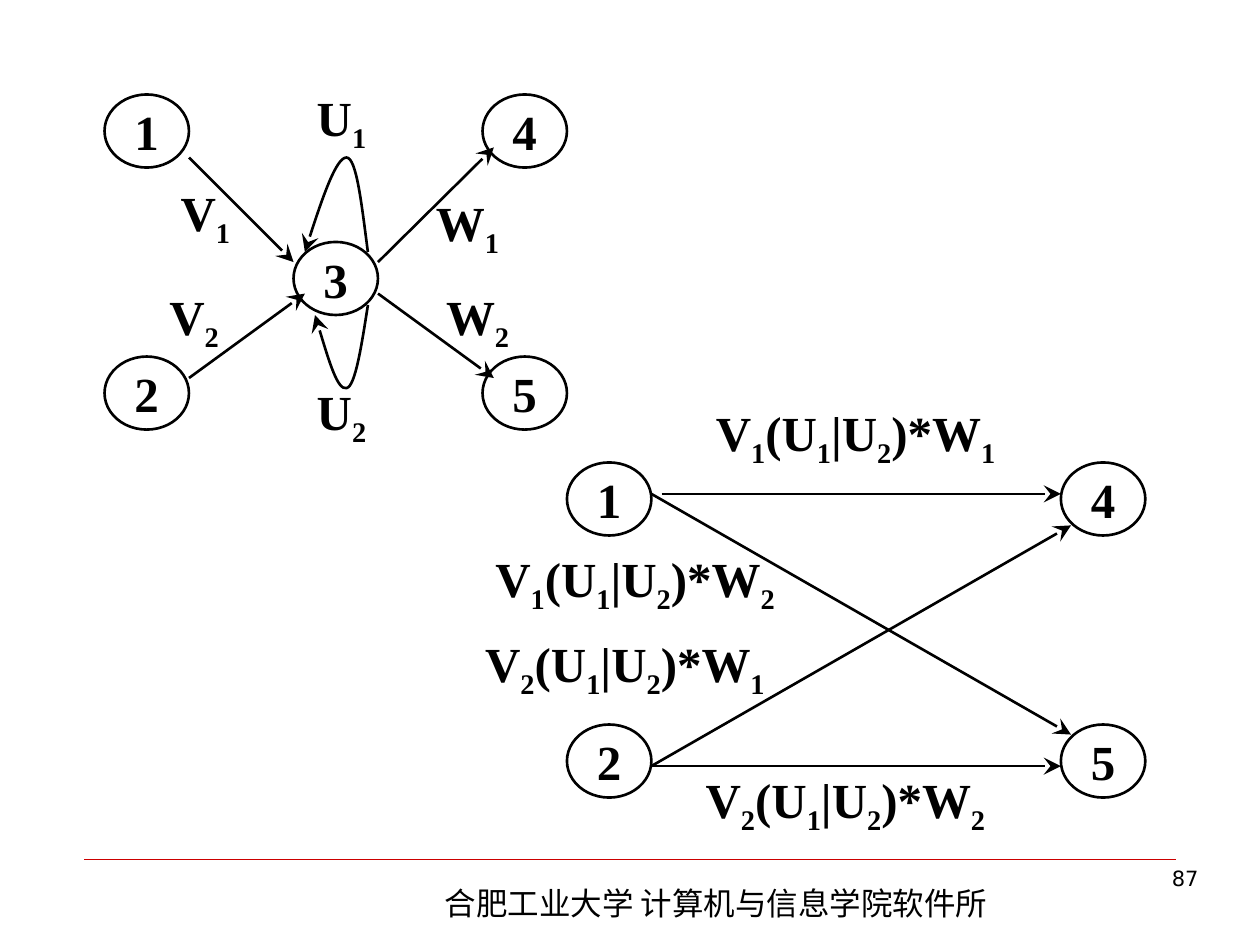
from itertools import groupby

from lxml import etree
from pptx import Presentation
from pptx.dml.color import RGBColor
from pptx.enum.shapes import MSO_CONNECTOR, MSO_SHAPE
from pptx.enum.text import MSO_ANCHOR, PP_ALIGN
from pptx.oxml.ns import qn
from pptx.util import Inches, Pt

OVAL, STRAIGHT = MSO_SHAPE.OVAL, MSO_CONNECTOR.STRAIGHT
MIDDLE, TOP = MSO_ANCHOR.MIDDLE, MSO_ANCHOR.TOP
LEFT, CENTER, RIGHT = PP_ALIGN.LEFT, PP_ALIGN.CENTER, PP_ALIGN.RIGHT

BLACK, RED = "000000", "CC0000"
NODE_W, NODE_H = 0.67, 0.58
GRAPH_FONT = {"name": "Times New Roman", "size": Pt(28), "bold": True}
FOOTER_FONT = {"name": "Noto Sans CJK SC", "size": Pt(18)}
NUMBER_FONT = {"name": "DejaVu Sans", "size": Pt(12)}
ARROWHEAD = {"type": "stealth", "w": "lg", "len": "lg"}


def rgb(color):
    return RGBColor.from_string(color)


def add_run(p, text, font, subscript=False):
    r = p.add_run()
    r.text = text
    for name, value in font.items():
        setattr(r.font, name, value)
    r.font.color.rgb = rgb(BLACK)
    rPr = r._r.get_or_add_rPr()
    etree.SubElement(rPr, qn("a:ea")).set("typeface", font["name"])
    if subscript:
        rPr.set("baseline", "-25000")


def set_frame(s, wrap, anchor, align):
    """Format the text frame and return its first paragraph."""
    tf = s.text_frame
    tf.word_wrap, tf.vertical_anchor = wrap, anchor
    p = tf.paragraphs[0]
    p.alignment = align
    return p


def set_line(s, color=BLACK, width=1.5, arrow=False):
    s.line.color.rgb = rgb(color)
    s.line.width = Pt(width)
    if arrow:
        etree.SubElement(s.line._get_or_add_ln(), qn("a:tailEnd"), ARROWHEAD)


def add_line(shapes, x1, y1, x2, y2, **style):
    s = shapes.add_connector(STRAIGHT, Inches(x1), Inches(y1), Inches(x2), Inches(y2))
    set_line(s, **style)
    etree.SubElement(s._element.spPr, qn("a:effectLst"))


def add_node(shapes, x, y, name):
    s = shapes.add_shape(OVAL, Inches(x), Inches(y), Inches(NODE_W), Inches(NODE_H))
    s.shadow.inherit = False
    s.fill.background()
    set_line(s)
    add_run(set_frame(s, False, MIDDLE, CENTER), name, GRAPH_FONT)


def add_label(shapes, x, y, w, text):
    """Add an edge label whose digits are subscripts."""
    s = shapes.add_textbox(Inches(x), Inches(y), Inches(w), Inches(0.58))
    p = set_frame(s, False, MIDDLE, CENTER)
    for is_digit, chars in groupby(text, str.isdigit):
        add_run(p, "".join(chars), GRAPH_FONT, is_digit)


def add_loop(shapes, points):
    """Draw a curved arrow from a start point and triples of Bezier points."""
    start, *rest = [(Inches(x), Inches(y)) for x, y in points]
    builder = shapes.build_freeform(*start)
    builder.add_line_segments(rest, close=False)
    s = builder.convert_to_shape()
    segments = list(s._element.iter(qn("a:lnTo")))
    for i in range(0, len(segments), 3):
        curve = etree.Element(qn("a:cubicBezTo"))
        segments[i].addprevious(curve)
        for segment in segments[i:i + 3]:
            curve.append(segment[0])
            segment.getparent().remove(segment)
    s.shadow.inherit = False
    s.fill.background()
    set_line(s, arrow=True)


def add_graph(shapes, left, top, label_w, nodes, labels, arrows, loops=()):
    """Draw a state graph; all positions are offsets from left and top."""
    for name, x, y in nodes:
        add_node(shapes, left + x, top + y, name)
    for text, x, y in labels:
        add_label(shapes, left + x, top + y, label_w, text)
    for x1, y1, x2, y2 in arrows:
        add_line(shapes, left + x1, top + y1, left + x2, top + y2, arrow=True)
    for points in loops:
        add_loop(shapes, [(left + x, top + y) for x, y in points])


def add_full_graph(shapes, left, top):
    add_graph(
        shapes, left, top, 0.92,
        nodes=[("1", 0, 0), ("2", 0, 2.08), ("3", 1.5, 1.17),
               ("5", 3, 2.08), ("4", 3, 0)],
        labels=[("U1", 1.42, -0.08), ("V1", 0.34, 0.67), ("U2", 1.42, 2.25),
                ("V2", 0.25, 1.5), ("W2", 2.5, 1.5), ("W1", 2.42, 0.75)],
        arrows=[(0.67, 0.5, 1.5, 1.33), (0.67, 2.25, 1.59, 1.58),
                (2.17, 1.33, 3.09, 0.42), (2.17, 1.58, 3.09, 2.25)],
        loops=[[(2.09, 1.25), (2.04, 0.87), (2, 0.5), (1.92, 0.5),
                (1.84, 0.5), (1.71, 0.87), (1.59, 1.25)],
               [(2.09, 1.67), (2.04, 1.99), (1.99, 2.32), (1.92, 2.33),
                (1.85, 2.35), (1.76, 2.05), (1.67, 1.75)]])


def add_reduced_graph(shapes, left, top):
    """Draw the graph that remains once node 3 is eliminated."""
    label_spots = {(1, 1): (1.54, 0), (1, 2): (-0.21, 1.16),
                   (2, 2): (1.46, 2.91), (2, 1): (-0.29, 1.83)}
    add_graph(
        shapes, left, top, 2.5,
        nodes=[("1", 0.5, 0.5), ("2", 0.5, 2.58),
               ("5", 4.42, 2.58), ("4", 4.42, 0.5)],
        labels=[(f"V{v}(U1|U2)*W{w}", x, y)
                for (v, w), (x, y) in label_spots.items()],
        arrows=[(1.25, 0.75, 4.42, 0.75), (1.17, 2.91, 4.42, 2.91),
                (1.17, 2.91, 4.5, 1), (1.17, 0.75, 4.5, 2.66)])


def add_footer(shapes, left, top, width):
    add_line(shapes, left, top, left + width, top, color=RED, width=0.25)
    for text, x, y, w, h, align, font in [
            ("合肥工业大学 计算机与信息学院软件所", 2.76, 0.15, 4.72, 0.4, LEFT, FOOTER_FONT),
            ("87", 6.77, 0, 2.17, 0.52, RIGHT, NUMBER_FONT)]:
        s = shapes.add_textbox(Inches(left + x), Inches(top + y), Inches(w), Inches(h))
        add_run(set_frame(s, True, TOP, align), text, font)


def main():
    prs = Presentation()
    prs.slide_width, prs.slide_height = Inches(10), Inches(7.5)
    shapes = prs.slides.add_slide(prs.slide_layouts[6]).shapes
    add_footer(shapes, 0.67, 6.82, 8.66)
    add_full_graph(shapes.add_group_shape().shapes, 0.83, 0.75)
    add_reduced_graph(shapes, 4, 3.17)
    prs.save("out.pptx")


if __name__ == "__main__":
    main()
